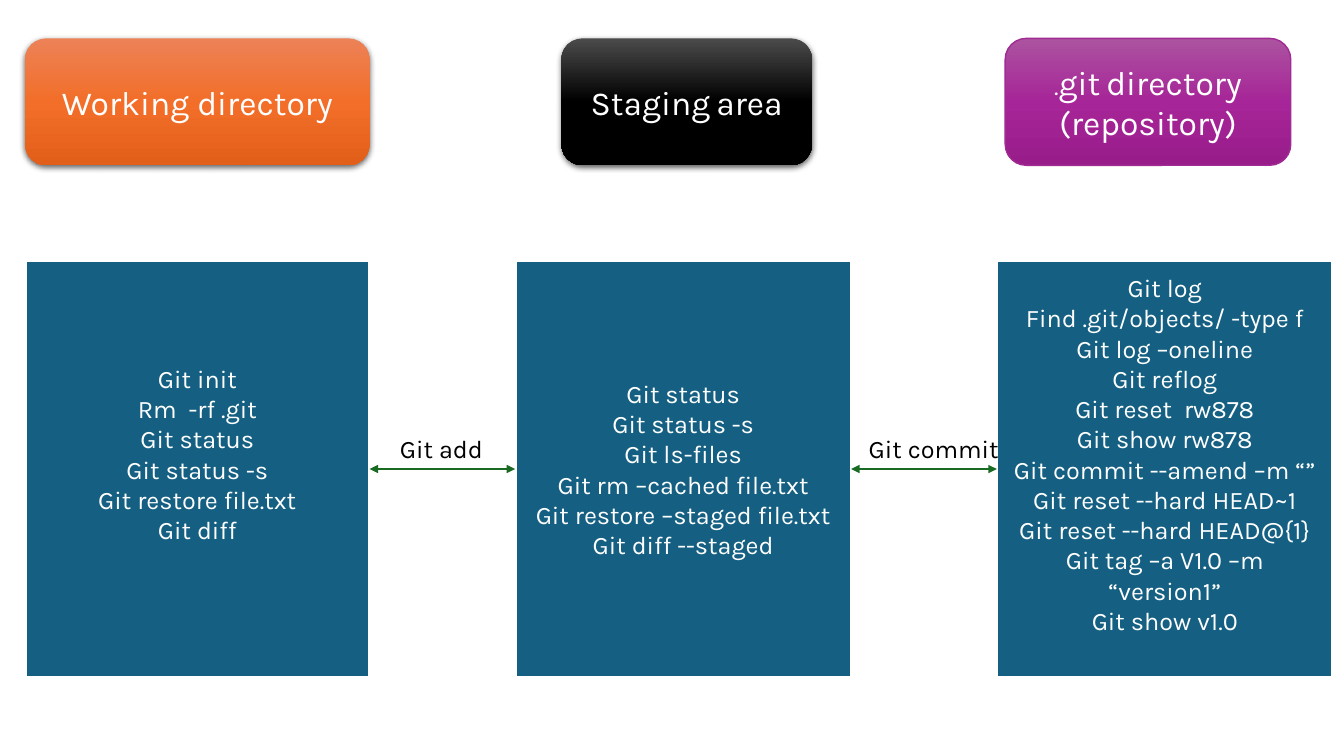
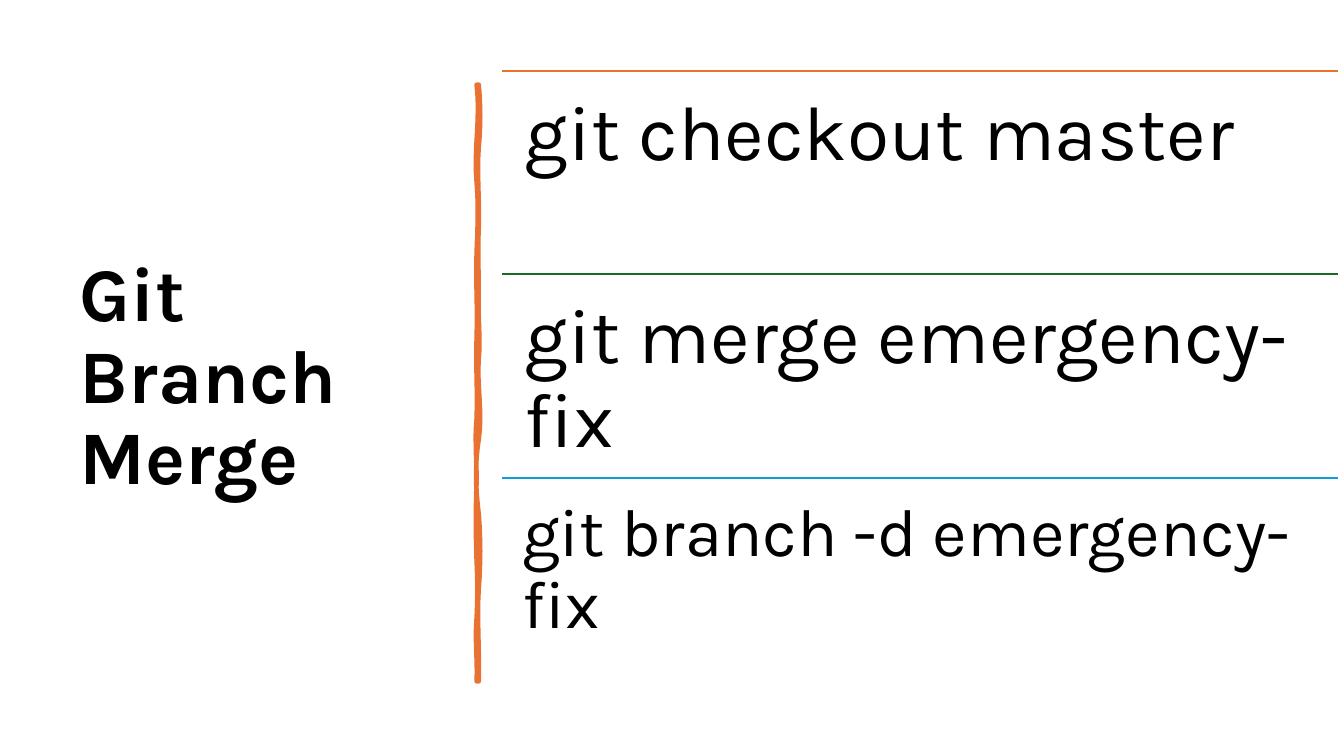
from copy import deepcopy

from lxml import etree
from pptx import Presentation
from pptx.dml.color import RGBColor
from pptx.enum.shapes import MSO_CONNECTOR, MSO_SHAPE
from pptx.enum.text import MSO_ANCHOR, MSO_AUTO_SIZE, PP_ALIGN
from pptx.oxml.ns import qn
from pptx.util import Pt

ROUNDED = MSO_SHAPE.ROUNDED_RECTANGLE
RECTANGLE = MSO_SHAPE.RECTANGLE
STRAIGHT = MSO_CONNECTOR.STRAIGHT
LEFT, CENTER = PP_ALIGN.LEFT, PP_ALIGN.CENTER
TOP, MIDDLE = MSO_ANCHOR.TOP, MSO_ANCHOR.MIDDLE
NO_AUTOFIT = MSO_AUTO_SIZE.NONE

# Shared style
FONT = "Karla"
BODY_SIZE = 18
HEADER_SIZE = 24
WHITE = RGBColor(0xFF, 0xFF, 0xFF)
BLACK = RGBColor(0x00, 0x00, 0x00)
TEAL = RGBColor(0x15, 0x60, 0x82)
GREEN = RGBColor(0x19, 0x6B, 0x24)
BLUE = RGBColor(0x0F, 0x9E, 0xD5)
ORANGE = RGBColor(0xE9, 0x71, 0x32)
PURPLE = RGBColor(0xA0, 0x2B, 0x93)
ORANGE_GRADIENT = (RGBColor(0xED, 0x82, 0x57), RGBColor(0xF2, 0x6E, 0x29),
                   RGBColor(0xE2, 0x5F, 0x1A))
BLACK_GRADIENT = (RGBColor(0x4B, 0x4B, 0x4B), BLACK, BLACK)
PURPLE_GRADIENT = (RGBColor(0xAC, 0x53, 0xA0), RGBColor(0xA6, 0x25, 0x98),
                   RGBColor(0x99, 0x1C, 0x8B))

# Workflow slide: headers are left, width, gradient, outline, lines of (text, size)
HEADERS = [
    (18, 246, ORANGE_GRADIENT, None, [[("Working directory", HEADER_SIZE)]]),
    (401, 179, BLACK_GRADIENT, None,
     [[("Staging", HEADER_SIZE), (" ", BODY_SIZE), ("area", HEADER_SIZE)]]),
    (718, 204, PURPLE_GRADIENT, PURPLE,
     [[(".", BODY_SIZE), ("git", HEADER_SIZE), (" ", BODY_SIZE),
       ("directory", HEADER_SIZE)], [("(repository)", HEADER_SIZE)]]),
]
# Command boxes are width, bottom inset, commands
COMMAND_BOXES = [
    (246, 25.2, ["Git init", "Rm  -rf .git", "Git status", "Git status -s",
                 "Git restore file.txt", "Git diff"]),
    (240, 3.6, ["Git status", "Git status -s", "Git ls-files",
                "Git rm –cached file.txt", "Git restore –staged file.txt",
                "Git diff --staged"]),
    (240, 25.2, ["Git log", "Find .git/objects/ -type f", "Git log –oneline",
                 "Git reflog", "Git reset  rw878", "Git show rw878",
                 "Git commit --amend –m “”", "Git reset --hard HEAD~1",
                 "Git reset --hard HEAD@{1}", "Git tag –a V1.0 –m “version1”",
                 "Git show v1.0"]),
]
# Labels between boxes are text, distance from the box on the left, width
ARROW_LABELS = [("Git add", 14.6, 89), ("Git commit", 5.4, 118)]
BOX_LEFT, BOX_TOP, BOX_HEIGHT, BOX_GAP = 18, 186, 298, 104

# Merge slide: steps are text, size, inset, rule colour
STEPS = [
    ("git checkout master", 55, 16.5, ORANGE),
    ("git merge emergency-fix", 55, 16.5, GREEN),
    ("git branch -d emergency-fix", 48, 14.4, BLUE),
]
STEP_LEFT, STEP_TOP, STEP_WIDTH, STEP_HEIGHT = 358.5, 50.4, 597, 145.5
# Divider edges: end height of each wave and its two sideways pulls
DIVIDER_TOP, DIVIDER_BOTTOM = 60.5, 486.7
RIGHT_WAVES = [(105.1, 1.4, 1.4), (162.7, -1.4, 0.7), (211.7, -0.7, 0),
               (256.3, -0.7, 1.4), (313.9, -1.4, 2.9), (367.2, -2.9, -2.2),
               (420.5, 1.4, 1.4), (DIVIDER_BOTTOM, -1.4, 0.7)]
LEFT_WAVES = [(441.4, 0.7, -1.4), (401, 0.7, 0.7), (343.4, -0.7, -0.7),
              (298.8, 0, -1.4), (241.2, 0.7, -0.7), (180, 0.7, -0.7),
              (130.3, 0.7, 1.4), (DIVIDER_TOP, -2.2, 2.9)]


def style_run(run, size, color, bold=False):
    run.font.name = FONT
    run.font.size = Pt(size)
    run.font.bold = bold
    run.font.color.rgb = color


def set_lines(text_frame, lines, color, align=LEFT, anchor=TOP, spacing=1.0, bold=False):
    """Fill a frame with lines, each a list of (text, size) runs."""
    text_frame.word_wrap = True
    text_frame.auto_size = NO_AUTOFIT
    text_frame.vertical_anchor = anchor
    for index, line in enumerate(lines):
        paragraph = text_frame.paragraphs[0] if index == 0 else text_frame.add_paragraph()
        paragraph.alignment = align
        paragraph.line_spacing = spacing
        for text, size in line:
            run = paragraph.add_run()
            run.text = text
            style_run(run, size, color, bold)


def set_line(line, color, width):
    line.color.rgb = color
    line.width = Pt(width)


def add_box(slide, kind, left, top, width, height):
    shape = slide.shapes.add_shape(kind, Pt(left), Pt(top), Pt(width), Pt(height))
    shape.shadow.inherit = False
    return shape


def add_text(slide, left, top, width, height, text, size, inset=None, spacing=1.0):
    box = slide.shapes.add_textbox(Pt(left), Pt(top), Pt(width), Pt(height))
    frame = box.text_frame
    if inset is not None:
        frame.margin_left = frame.margin_right = Pt(inset)
        frame.margin_top = frame.margin_bottom = Pt(inset)
    set_lines(frame, [[(text, size)]], BLACK, spacing=spacing)


def add_rule(slide, left, right, y, color, width, arrows=False):
    """Draw a horizontal line, with arrowheads at both ends if asked."""
    rule = slide.shapes.add_connector(STRAIGHT, Pt(left), Pt(y), Pt(right), Pt(y))
    set_line(rule.line, color, width)
    properties = rule.element.spPr
    if arrows:
        outline = properties.find(qn("a:ln"))
        for end in ("a:headEnd", "a:tailEnd"):
            etree.SubElement(outline, qn(end), type="triangle")
    etree.SubElement(properties, qn("a:effectLst"))


def fill_gradient(shape, colors):
    """Blend evenly spaced colours from top to bottom."""
    shape.fill.gradient()
    shape.fill.gradient_angle = 270
    stop_list = shape.element.spPr.find(qn("a:gradFill")).find(qn("a:gsLst"))
    while len(stop_list) < len(colors):
        stop_list.append(deepcopy(stop_list[0]))
    for index, (stop, color) in enumerate(zip(shape.fill.gradient_stops, colors)):
        stop.position = index / (len(colors) - 1)
        stop.color.rgb = color


def add_drop_shadow(shape):
    effects = shape.element.spPr.find(qn("a:effectLst"))
    shadow = etree.SubElement(effects, qn("a:outerShdw"), blurRad=str(Pt(4.5)),
                              dist=str(Pt(1.5)), dir="5400000", rotWithShape="0")
    color = etree.SubElement(shadow, qn("a:srgbClr"), val=str(BLACK))
    etree.SubElement(color, qn("a:alpha"), val="63000")


def add_header(slide, left, width, gradient, outline, lines):
    header = add_box(slide, ROUNDED, left, 27.4, width, 90.7)
    fill_gradient(header, gradient)
    if outline is None:
        header.line.fill.background()
        add_drop_shadow(header)
    else:
        set_line(header.line, outline, 1)
    set_lines(header.text_frame, lines, WHITE, CENTER, MIDDLE)


def add_command_box(slide, left, width, bottom_inset, commands):
    box = add_box(slide, RECTANGLE, left, BOX_TOP, width, BOX_HEIGHT)
    box.fill.solid()
    box.fill.fore_color.rgb = TEAL
    set_line(box.line, WHITE, 2)
    box.text_frame.margin_bottom = Pt(bottom_inset)
    lines = [[(command, BODY_SIZE)] for command in commands]
    set_lines(box.text_frame, lines, WHITE, CENTER, MIDDLE)


def wavy_edge(x, start, waves, steps=8):
    """Return points along a vertical edge that swings with each wave."""
    points = []
    for end, first_pull, second_pull in waves:
        for step in range(1, steps + 1):
            t = step / steps
            swing = 3 * t * (1 - t) * ((1 - t) * first_pull + t * second_pull)
            points.append((Pt(x + swing), Pt(start + (end - start) * t)))
        start = end
    return points


def add_divider(slide):
    right_x, left_x = 342, 340.5
    builder = slide.shapes.build_freeform(Pt(right_x), Pt(DIVIDER_TOP), scale=1.0)
    builder.add_line_segments(wavy_edge(right_x, DIVIDER_TOP, RIGHT_WAVES), close=False)
    builder.add_line_segments([(Pt(left_x), Pt(DIVIDER_BOTTOM))], close=False)
    builder.add_line_segments(wavy_edge(left_x, DIVIDER_BOTTOM, LEFT_WAVES))
    divider = builder.convert_to_shape()
    divider.shadow.inherit = False
    divider.fill.solid()
    divider.fill.fore_color.rgb = ORANGE
    set_line(divider.line, ORANGE, 3.25)
    etree.SubElement(divider.element.spPr.find(qn("a:ln")), qn("a:round"))


def set_title(slide, left, top, width, height, text):
    title = slide.shapes.title
    title.left, title.top = Pt(left), Pt(top)
    title.width, title.height = Pt(width), Pt(height)
    set_lines(title.text_frame, [[(text, 54)]], BLACK, anchor=MIDDLE,
              spacing=0.9, bold=True)


def build_workflow_slide(presentation):
    slide = presentation.slides.add_slide(presentation.slide_layouts[6])
    for header in HEADERS:
        add_header(slide, *header)
    left = BOX_LEFT
    right_edges = []
    for width, bottom_inset, commands in COMMAND_BOXES:
        add_command_box(slide, left, width, bottom_inset, commands)
        right_edges.append(left + width)
        left += width + BOX_GAP
    # Arrows across the gaps
    middle = BOX_TOP + BOX_HEIGHT / 2
    for edge, (text, offset, width) in zip(right_edges, ARROW_LABELS):
        add_rule(slide, edge, edge + BOX_GAP, middle, GREEN, 2, arrows=True)
        add_text(slide, edge + offset, 306, width, 29, text, BODY_SIZE)


def build_merge_slide(presentation):
    slide = presentation.slides.add_slide(presentation.slide_layouts[5])
    set_title(slide, 49.7, 50.4, 269, 440, "Git Branch Merge")
    add_divider(slide)
    for index, (text, size, inset, color) in enumerate(STEPS):
        top = STEP_TOP + index * STEP_HEIGHT
        add_rule(slide, STEP_LEFT, STEP_LEFT + STEP_WIDTH, top, color, 1.5)
        add_text(slide, STEP_LEFT, top, STEP_WIDTH, STEP_HEIGHT, text, size, inset, 0.9)


def main():
    presentation = Presentation()
    presentation.slide_width = Pt(960)
    presentation.slide_height = Pt(540)
    build_workflow_slide(presentation)
    build_merge_slide(presentation)
    presentation.save("out.pptx")


if __name__ == "__main__":
    main()
